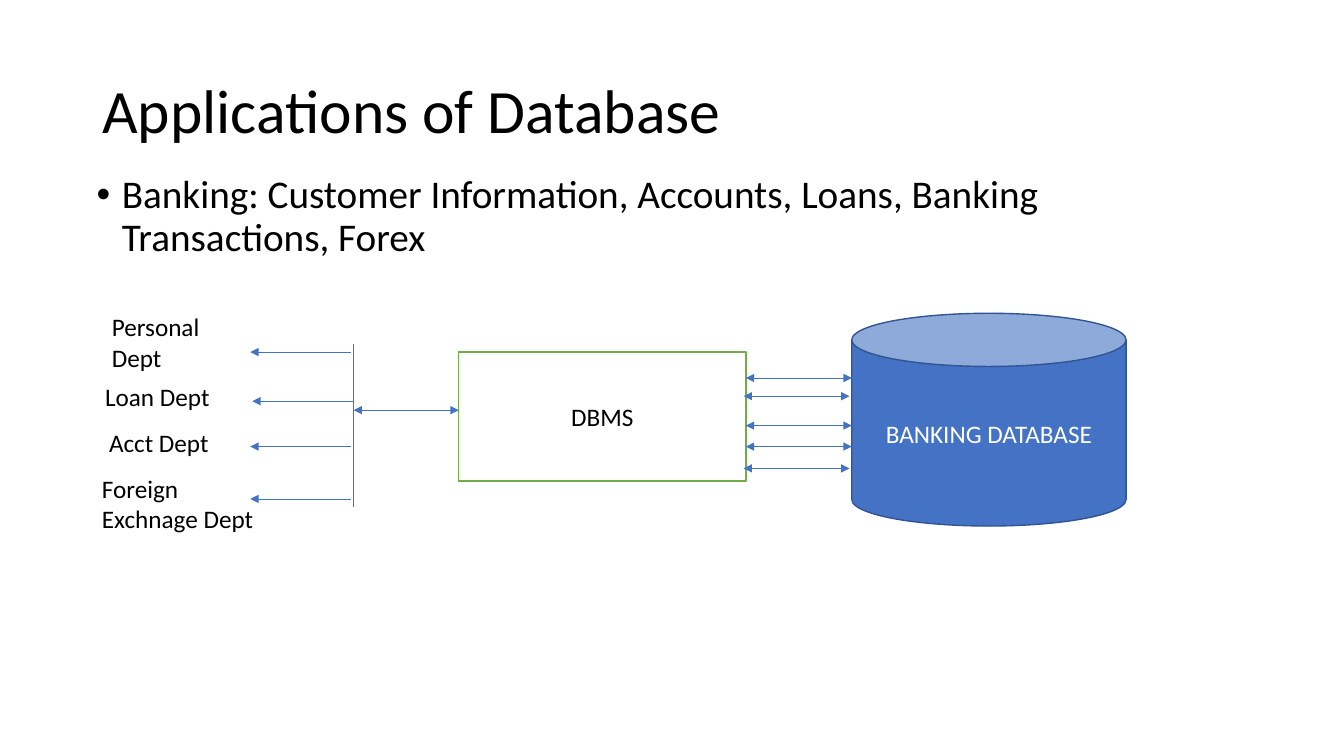
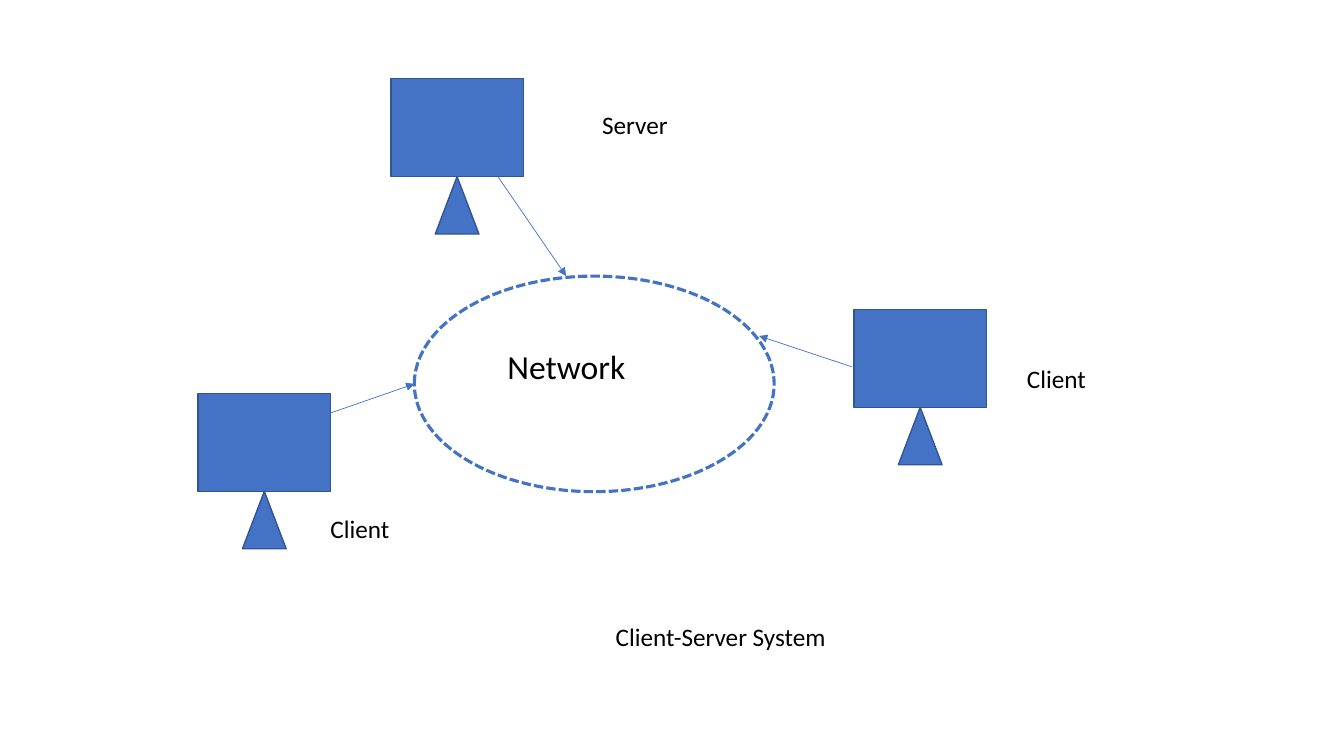
from lxml.etree import SubElement
from pptx import Presentation
from pptx.dml.color import RGBColor
from pptx.enum.dml import MSO_LINE
from pptx.enum.shapes import MSO_CONNECTOR, MSO_SHAPE
from pptx.enum.text import MSO_ANCHOR, MSO_AUTO_SIZE, PP_ALIGN
from pptx.oxml.ns import qn
from pptx.util import Pt

BLUE = RGBColor(0x44, 0x72, 0xC4)
DARK_BLUE = RGBColor(0x32, 0x54, 0x91)
GREEN = RGBColor(0x70, 0xAD, 0x47)
WHITE = RGBColor(0xFF, 0xFF, 0xFF)
BLACK = RGBColor(0, 0, 0)
FONT = "Calibri"
LABEL_SIZE = 18

TITLE = "Applications of Database"
BANKING = "Banking: Customer Information, Accounts, Loans, Banking Transactions, Forex"
DBMS = (327.6, 251.3, 205.2, 92.2)
DATABASE = (608.4, 223.8, 196, 152)
DATABASE_LINKS = [(270, 0), (283, -1.6), (304, 0), (319, 0), (334.6, -1.6)]
BUS_X, BUS_TOP, BUS_BOTTOM, BUS_LINK_Y = 252.6, 245.8, 362, 293
DEPARTMENT_ARROW = 72
DEPARTMENTS = [
    ("Personal Dept", (72.8, 219, 108, 51), 250.7, 251.5),
    ("Loan Dept", (68, 268.6, 108, 29), 252.2, 286.6),
    ("Acct Dept", (70.8, 302, 108, 29), 250.7, 319),
    ("Foreign Exchnage Dept", (65.7, 334.3, 134, 51), 250.7, 356.4),
]

SCREEN_WIDTH, SCREEN_HEIGHT = 94.6, 70
STAND_WIDTH, STAND_HEIGHT = 31.2, 41
COMPUTERS = [(279.2, 56.2), (141.5, 281), (610, 221)]
NETWORK = (296, 197.2, 257, 154)
NETWORK_LABELS = [
    ("Network", (355.4, 243.5, 136, 36), 24),
    ("Server", (423, 74.4, 68, 29), LABEL_SIZE),
    ("Client", (726.5, 255.7, 67, 29), LABEL_SIZE),
    ("Client", (229, 363, 67, 29), LABEL_SIZE),
    ("Client-Server System", (432.7, 440, 480, 29), LABEL_SIZE),
]
NETWORK_LINKS = [
    ((355.7, 126.2), (404.4, 197.2)),
    ((231, 296.8), (296, 274.2)),
    ((608.4, 262), (542.2, 240)),
]


def points(values):
    """Convert a sequence of numbers to point lengths."""
    return [Pt(value) for value in values]


def style_text(paragraph, text, size, color):
    """Fill a paragraph with text in the shared font."""
    paragraph.text = text
    paragraph.font.name = FONT
    paragraph.font.size = Pt(size)
    paragraph.font.color.rgb = color


def add_text(slide, text, box, size=LABEL_SIZE, grow=True):
    """Add a wrapping text box and return its frame."""
    frame = slide.shapes.add_textbox(*points(box)).text_frame
    frame.word_wrap = True
    frame.auto_size = MSO_AUTO_SIZE.SHAPE_TO_FIT_TEXT if grow else MSO_AUTO_SIZE.NONE
    style_text(frame.paragraphs[0], text, size, BLACK)
    return frame


def add_block(slide, kind, box, fill=BLUE, outline=DARK_BLUE, text="", color=WHITE):
    """Add a filled, outlined shape with an optional centred caption."""
    block = slide.shapes.add_shape(kind, *points(box))
    block.shadow.inherit = False
    block.fill.solid()
    block.fill.fore_color.rgb = fill
    block.line.color.rgb = outline
    block.line.width = Pt(1)
    if text:
        block.text_frame.vertical_anchor = MSO_ANCHOR.MIDDLE
        paragraph = block.text_frame.paragraphs[0]
        style_text(paragraph, text, LABEL_SIZE, color)
        paragraph.alignment = PP_ALIGN.CENTER
    return block


def add_link(slide, start, end, arrows=("tailEnd",)):
    """Add a thin straight line with the named arrowheads."""
    link = slide.shapes.add_connector(MSO_CONNECTOR.STRAIGHT, *points(start + end))
    link.line.color.rgb = BLUE
    link.line.width = Pt(0.5)
    properties = link._element.spPr
    for arrow in arrows:
        SubElement(properties.find(qn("a:ln")), qn(f"a:{arrow}"), type="triangle")
    SubElement(properties, qn("a:effectLst"))


def build_banking(slide):
    """Draw the banking database and the departments it serves."""
    both_ends = ("headEnd", "tailEnd")
    title = add_text(slide, TITLE, (66, 29, 828, 104), 44, grow=False)
    title.vertical_anchor = MSO_ANCHOR.MIDDLE
    title.paragraphs[0].line_spacing = 0.9

    body = add_text(slide, "", (62, 121.5, 828, 343), 28, grow=False).paragraphs[0]
    properties = body._p.get_or_add_pPr()
    properties.set("marL", str(Pt(18)))
    properties.set("indent", str(Pt(-18)))
    bullet_font = SubElement(properties, qn("a:buFont"), typeface="Arial")
    bullet_font.addnext(properties.makeelement(qn("a:buChar"), {"char": "•"}))
    style_text(body, BANKING, 28, BLACK)
    body.line_spacing = 0.9

    add_block(slide, MSO_SHAPE.CAN, DATABASE, text="BANKING DATABASE")
    add_block(slide, MSO_SHAPE.RECTANGLE, DBMS, WHITE, GREEN, "DBMS", BLACK)
    dbms_right = DBMS[0] + DBMS[2]
    for y, shift in DATABASE_LINKS:
        add_link(slide, (dbms_right + shift, y), (DATABASE[0] + shift, y), both_ends)
    add_link(slide, (BUS_X, BUS_LINK_Y), (DBMS[0], BUS_LINK_Y), both_ends)
    add_link(slide, (BUS_X, BUS_TOP), (BUS_X, BUS_BOTTOM), ())
    for department, box, x, y in DEPARTMENTS:
        add_link(slide, (x, y), (x - DEPARTMENT_ARROW, y))
        add_text(slide, department, box)


def build_network(slide):
    """Draw the computers around the client-server network."""
    for left, top in COMPUTERS:
        stand_left = left + (SCREEN_WIDTH - STAND_WIDTH) / 2
        stand = (stand_left, top + SCREEN_HEIGHT, STAND_WIDTH, STAND_HEIGHT)
        add_block(slide, MSO_SHAPE.RECTANGLE, (left, top, SCREEN_WIDTH, SCREEN_HEIGHT))
        add_block(slide, MSO_SHAPE.ISOSCELES_TRIANGLE, stand)
    network = add_block(slide, MSO_SHAPE.OVAL, NETWORK, WHITE, BLUE)
    network.line.width = Pt(2.25)
    network.line.dash_style = MSO_LINE.SQUARE_DOT
    for label, box, size in NETWORK_LABELS:
        add_text(slide, label, box, size)
    for start, end in NETWORK_LINKS:
        add_link(slide, start, end)


def main():
    """Build and save the presentation."""
    presentation = Presentation()
    presentation.slide_width, presentation.slide_height = Pt(960), Pt(540)
    for build in (build_banking, build_network):
        build(presentation.slides.add_slide(presentation.slide_layouts[6]))
    presentation.save("out.pptx")


if __name__ == "__main__":
    main()
